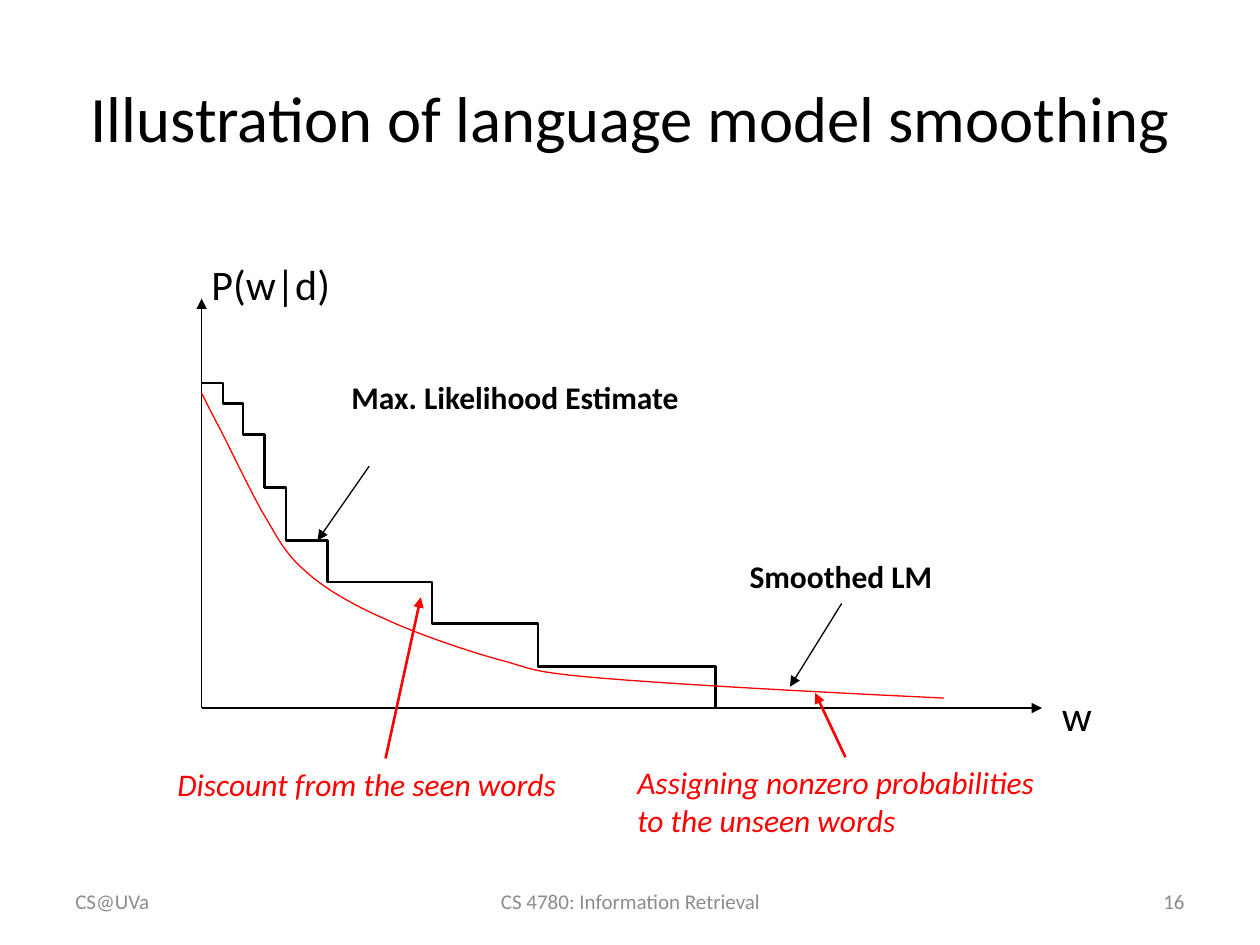
"""Build a slide that illustrates language model smoothing."""
from dataclasses import dataclass

from lxml import etree
from pptx import Presentation
from pptx.dml.color import RGBColor
from pptx.enum.shapes import MSO_CONNECTOR
from pptx.enum.text import MSO_ANCHOR, MSO_AUTO_SIZE, PP_ALIGN
from pptx.oxml.ns import qn
from pptx.util import Inches, Pt

LEFT, CENTER, RIGHT = PP_ALIGN.LEFT, PP_ALIGN.CENTER, PP_ALIGN.RIGHT
TOP, MIDDLE = MSO_ANCHOR.TOP, MSO_ANCHOR.MIDDLE
GROW, FIXED = MSO_AUTO_SIZE.SHAPE_TO_FIT_TEXT, MSO_AUTO_SIZE.NONE
STRAIGHT = MSO_CONNECTOR.STRAIGHT

Point = tuple[float, float]


@dataclass(frozen=True)
class Theme:
    font: str = "Calibri"
    ink: RGBColor = RGBColor(0, 0, 0)
    red: RGBColor = RGBColor(0xFF, 0, 0)
    gray: RGBColor = RGBColor(0x8C, 0x8C, 0x8C)
    title: float = 37
    axis: float = 24
    note: float = 18
    foot: float = 12
    thin: float = 0.75
    thick: float = 1.5


THEME = Theme()


@dataclass(frozen=True)
class Label:
    text: str
    box: tuple[float, float, float, float]
    size: float = THEME.note
    color: RGBColor = THEME.ink
    bold: bool = False
    italic: bool = False
    align: PP_ALIGN = LEFT
    anchor: MSO_ANCHOR = TOP
    wrap: bool = True


@dataclass(frozen=True)
class Line:
    start: Point
    end: Point
    color: RGBColor = THEME.ink
    width: float = THEME.thin
    arrow: bool = True


ORIGIN = (1.6, 5.62)
SEEN_END = (5.68, 5.62)

LABELS = [
    Label("Illustration of language model smoothing", (0.5, 0.3, 9, 1.25),
          THEME.title, align=CENTER, anchor=MIDDLE),
    Label("P(w|d)", (1.58, 2, 1.15, 0.51), THEME.axis, wrap=False),
    Label("w", (8.33, 5.42, 0.44, 0.5), THEME.axis, wrap=False),
    Label("Max. Likelihood Estimate", (2.69, 2.95, 3.25, 0.4), bold=True),
    Label("Smoothed LM", (5.85, 4.37, 2.08, 0.37), bold=True),
    Label("Assigning nonzero probabilities to the unseen words",
          (4.96, 6.01, 3.5, 0.71), color=THEME.red, italic=True),
    Label("Discount from the seen words", (1.31, 6.02, 3.5, 0.4),
          color=THEME.red, italic=True),
]
FOOTER = [
    ("CS@UVa", 0.5, 2.33, LEFT),
    ("CS 4780: Information Retrieval", 3.42, 3.17, CENTER),
    ("16", 7.17, 2.33, RIGHT),
]
LINES = [
    Line(ORIGIN, (8.27, 5.62)),
    Line(ORIGIN, (1.6, 2.37)),
    Line(SEEN_END, (7.68, 5.62), width=THEME.thick, arrow=False),
    Line((2.93, 3.7), (2.52, 4.29)),
    Line((6.68, 4.79), (6.27, 5.45)),
    Line((6.71, 6.01), (6.47, 5.5), THEME.red, THEME.thick),
    Line((3.06, 6.02), (3.34, 4.74), THEME.red, THEME.thick),
]
STEPS = [
    (1.6, 3.04), (1.77, 3.2), (1.93, 3.45), (2.1, 3.87), (2.27, 4.29),
    (2.6, 4.62), (3.43, 4.95), (4.27, 5.29), SEEN_END,
]
CURVE = [
    (1.6, 3.12),
    (1.64, 3.2), (1.68, 3.28), (1.76, 3.43),
    (1.84, 3.59), (1.98, 3.88), (2.08, 4.06),
    (2.19, 4.24), (2.25, 4.38), (2.41, 4.52),
    (2.57, 4.67), (2.8, 4.8), (3.05, 4.91),
    (3.31, 5.03), (3.66, 5.15), (3.94, 5.23),
    (4.22, 5.3), (4.16, 5.33), (4.75, 5.38),
    (5.34, 5.43), (6.42, 5.49), (7.49, 5.54),
]


def write(shapes, label: Label) -> None:
    box = shapes.add_textbox(*map(Inches, label.box))
    frame = box.text_frame
    frame.word_wrap = label.wrap
    frame.auto_size = GROW if label.anchor == TOP else FIXED
    frame.vertical_anchor = label.anchor
    para = frame.paragraphs[0]
    para.text = label.text
    para.alignment = label.align
    font = para.font
    font.name, font.size = THEME.font, Pt(label.size)
    font.bold, font.italic = label.bold, label.italic
    font.color.rgb = label.color


def stroke(shape, color: RGBColor, width: float) -> None:
    shape.line.color.rgb = color
    shape.line.width = Pt(width)


def connect(shapes, line: Line) -> None:
    link = shapes.add_connector(STRAIGHT, *map(Inches, line.start + line.end))
    stroke(link, line.color, line.width)
    if line.arrow:
        etree.SubElement(link.line._get_or_add_ln(), qn("a:tailEnd"), type="triangle")
    etree.SubElement(link.element.spPr, qn("a:effectLst"))


def trace(shapes, points: list[Point], color: RGBColor, width: float):
    first, *rest = [(Inches(x), Inches(y)) for x, y in points]
    pen = shapes.build_freeform(*first)
    pen.add_line_segments(rest, close=False)
    shape = pen.convert_to_shape()
    shape.fill.background()
    shape.shadow.inherit = False
    stroke(shape, color, width)
    return shape


def bend(shape) -> None:
    """Turn each three line segments into one cubic curve."""
    parts = shape.element.xpath(".//a:lnTo")
    for i in range(0, len(parts), 3):
        head, *others = parts[i:i + 3]
        head.tag = qn("a:cubicBezTo")
        for part in others:
            head.append(part[0])
            part.getparent().remove(part)


def stairs(steps: list[Point]) -> list[Point]:
    points = [steps[0]]
    for (_, high), (x, low) in zip(steps, steps[1:]):
        points += [(x, high), (x, low)]
    return points


def main() -> None:
    deck = Presentation()
    deck.slide_width, deck.slide_height = Inches(10), Inches(7.5)
    shapes = deck.slides.add_slide(deck.slide_layouts[6]).shapes
    for line in LINES:
        connect(shapes, line)
    trace(shapes, stairs(STEPS), THEME.ink, THEME.thick)
    bend(trace(shapes, CURVE, THEME.red, THEME.thin))
    for label in LABELS:
        write(shapes, label)
    for text, left, width, align in FOOTER:
        write(shapes, Label(text, (left, 6.95, width, 0.4), THEME.foot,
                            THEME.gray, align=align, anchor=MIDDLE))
    deck.save("out.pptx")


if __name__ == "__main__":
    main()
